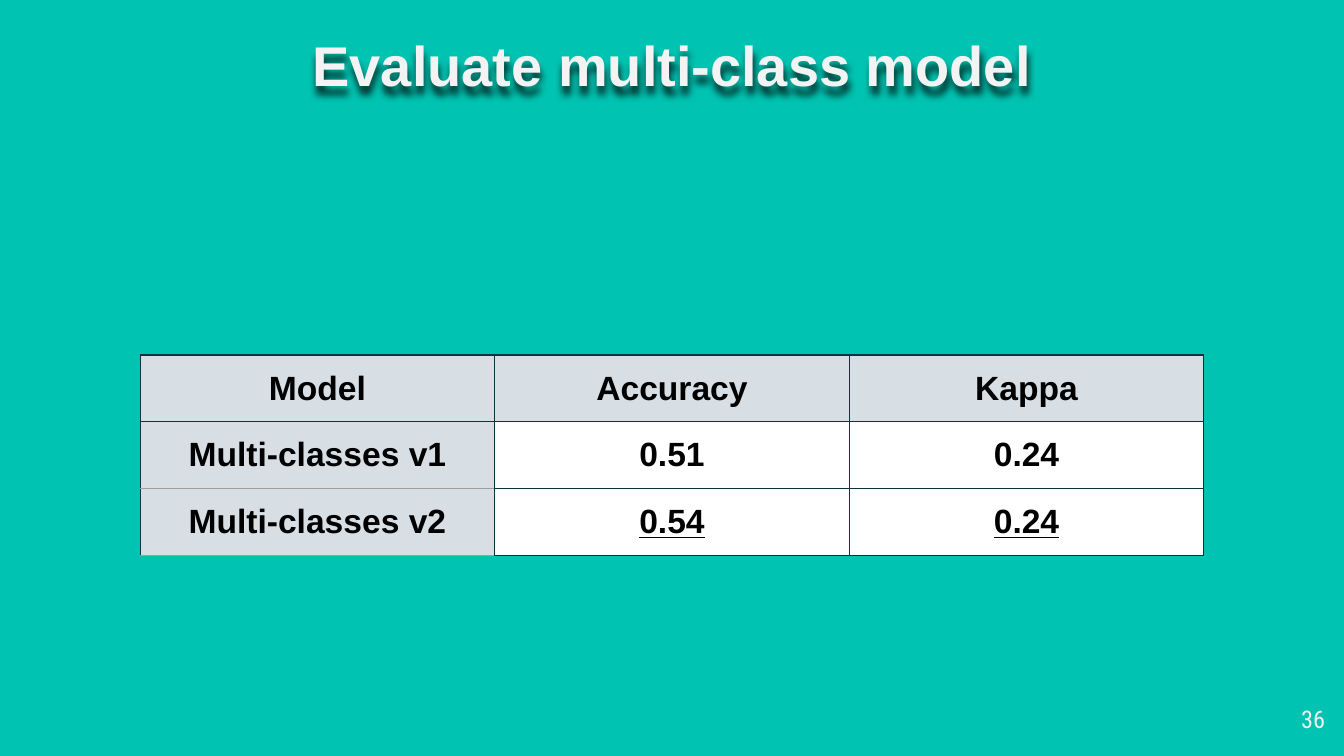
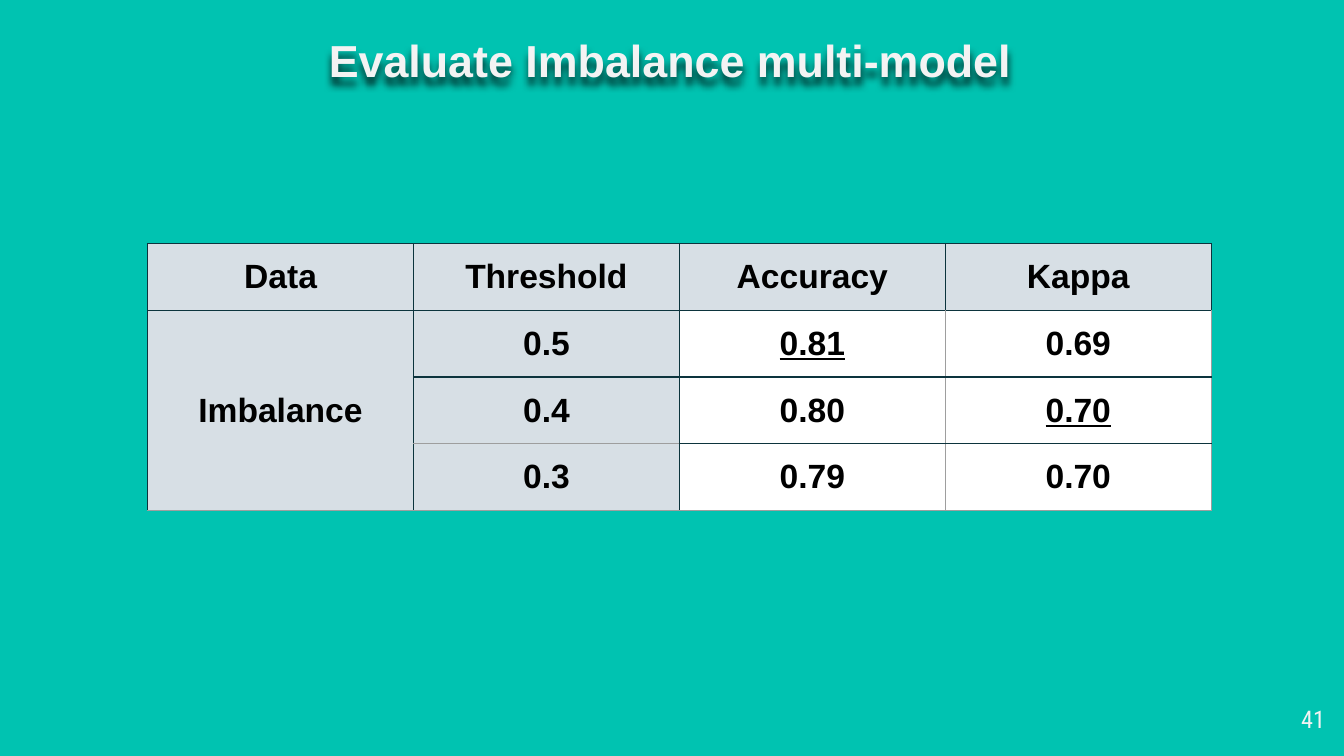
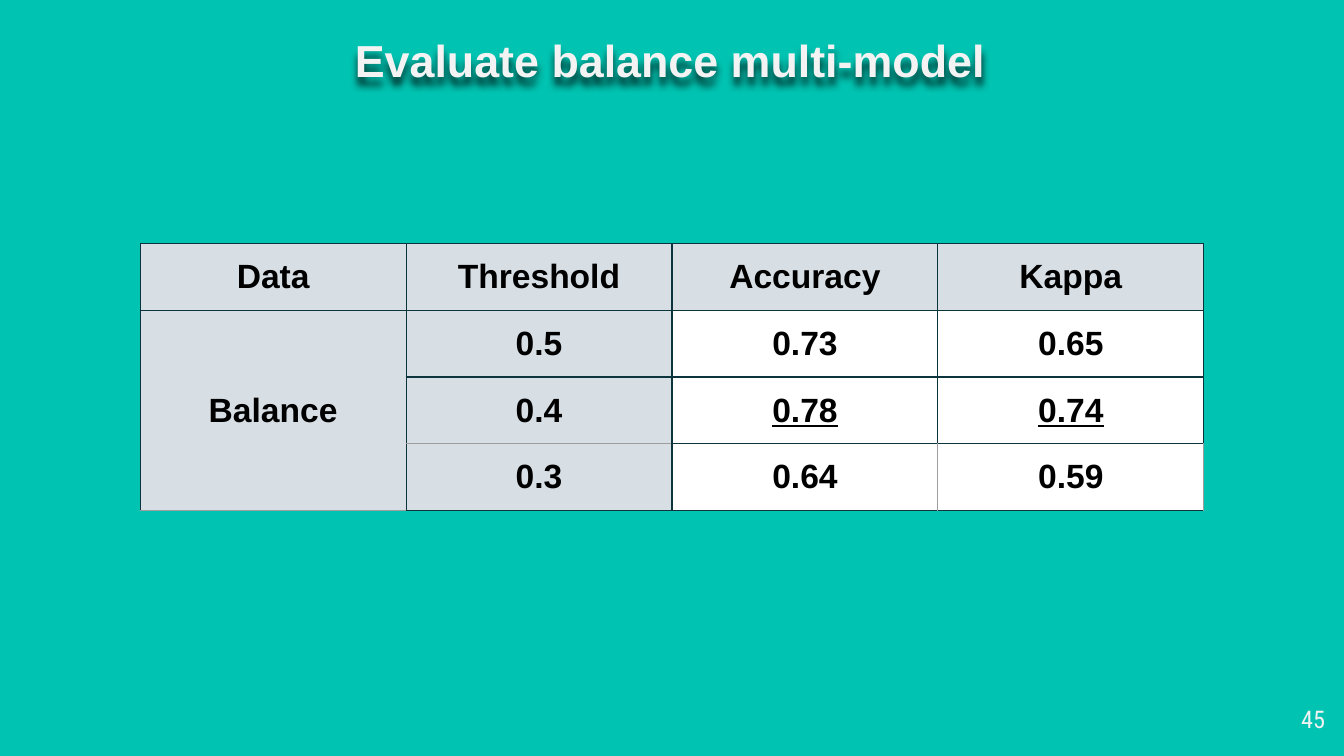
from dataclasses import dataclass

from lxml.etree import SubElement
from pptx import Presentation
from pptx.dml.color import RGBColor
from pptx.enum.text import MSO_ANCHOR, PP_ALIGN
from pptx.oxml.ns import qn
from pptx.util import Cm, Pt


@dataclass(frozen=True)
class Theme:
    back: str = "00C3B1"
    light: str = "F3F3F3"
    head: str = "D7DFE5"
    body: str = "FFFFFF"
    ink: str = "000000"
    dark: str = "0C343D"
    grey: str = "9E9E9E"
    font: str = "Arial"
    narrow: str = "Roboto Condensed"
    large: int = 30
    medium: int = 24
    cell: int = 18
    page: int = 13
    border: float = 0.75


theme = Theme()
WIDTH = 20.1
ROW = 1.06

# Title boxes: left, top, width, height, inset, anchor, type size
TOP = (2, 0.33, 21.4, 1.6, 0.25, MSO_ANCHOR.TOP, theme.large)
MID = (2.5, 0.18, 20.32, 1.9, 0, MSO_ANCHOR.MIDDLE, theme.medium)

# "best" holds the underlined cells; "soft" names the grey sides of cells
SLIDES = [
    dict(
        title="Evaluate multi-class model", box=TOP, page="36",
        left=2.65, top=6.71, heads=1,
        rows=[
            ["Model", "Accuracy", "Kappa"],
            ["Multi-classes v1", "0.51", "0.24"],
            ["Multi-classes v2", "0.54", "0.24"],
        ],
        best={(2, 1), (2, 2)},
        soft={(1, 0): "B", (2, 0): "TB"},
    ),
    dict(
        title="Evaluate Imbalance multi-model", box=MID, page="41",
        left=2.79, top=4.6, heads=2,
        rows=[
            ["Data", "Threshold", "Accuracy", "Kappa"],
            ["Imbalance", "0.5", "0.81", "0.69"],
            ["", "0.4", "0.80", "0.70"],
            ["", "0.3", "0.79", "0.70"],
        ],
        best={(1, 2), (2, 3)},
        soft={
            (1, 0): "B", (1, 2): "R", (1, 3): "LR",
            (2, 0): "TB", (2, 1): "B", (2, 2): "R", (2, 3): "LR",
            (3, 0): "TB", (3, 1): "TB", (3, 2): "RB", (3, 3): "LRB",
        },
    ),
    dict(
        title="Evaluate balance multi-model", box=MID, page="45",
        left=2.65, top=4.6, heads=2,
        rows=[
            ["Data", "Threshold", "Accuracy", "Kappa"],
            ["Balance", "0.5", "0.73", "0.65"],
            ["", "0.4", "0.78", "0.74"],
            ["", "0.3", "0.64", "0.59"],
        ],
        best={(2, 2), (2, 3)},
        soft={
            (1, 0): "B", (2, 0): "TB", (2, 1): "B",
            (3, 0): "TB", (3, 1): "T", (3, 2): "R", (3, 3): "LR",
        },
    ),
]


def write(frame, text, size, color, align, font=theme.font, bold=True):
    """Put one styled run in the first paragraph and return it."""
    para = frame.paragraphs[0]
    para.alignment = align
    run = para.add_run()
    run.text = text
    run.font.name = font
    run.font.size = Pt(size)
    run.font.bold = bold
    run.font.color.rgb = RGBColor.from_string(color)
    return run


def edge(cell, soft):
    """Draw the four borders, grey on the sides named in soft."""
    props = cell._tc.get_or_add_tcPr()
    for side in "LRTB":
        line = SubElement(props, qn(f"a:ln{side}"), w=str(Pt(theme.border)))
        fill = SubElement(line, qn("a:solidFill"))
        color = theme.grey if side in soft else theme.dark
        SubElement(fill, qn("a:srgbClr"), val=color)


deck = Presentation()
deck.slide_width, deck.slide_height = Cm(25.4), Cm(14.29)

for data in SLIDES:
    slide = deck.slides.add_slide(deck.slide_layouts[6])
    fill = slide.background.fill
    fill.solid()
    fill.fore_color.rgb = RGBColor.from_string(theme.back)

    # Title with a soft shadow under the letters
    *place, inset, anchor, size = data["box"]
    title = slide.shapes.add_textbox(*map(Cm, place))
    frame = title.text_frame
    frame.word_wrap = True
    frame.vertical_anchor = anchor
    frame.margin_left = frame.margin_right = Cm(inset)
    frame.margin_top = frame.margin_bottom = Cm(inset)
    write(frame, data["title"], size, theme.light, PP_ALIGN.CENTER)
    effects = SubElement(title._element.spPr, qn("a:effectLst"))
    shadow = SubElement(effects, qn("a:outerShdw"), blurRad=str(Pt(4)),
                        dist=str(Pt(4)), dir="5400000", algn="t", rotWithShape="0")
    tint = SubElement(shadow, qn("a:srgbClr"), val=theme.ink)
    SubElement(tint, qn("a:alpha"), val="75000")

    # Table of scores
    rows = data["rows"]
    count = len(rows[0])
    table = slide.shapes.add_table(
        len(rows), count, Cm(data["left"]), Cm(data["top"]),
        Cm(WIDTH), Cm(ROW * len(rows))).table
    table.first_row = table.horz_banding = False
    for col in table.columns:
        col.width = Cm(WIDTH / count)
    for r, row in enumerate(rows):
        for c, text in enumerate(row):
            cell = table.cell(r, c)
            cell.vertical_anchor = MSO_ANCHOR.MIDDLE
            cell.margin_left = cell.margin_right = Cm(0.25)
            cell.margin_top = cell.margin_bottom = Cm(0.25)
            edge(cell, data["soft"].get((r, c), ""))
            shade = theme.head if r == 0 or c < data["heads"] else theme.body
            cell.fill.solid()
            cell.fill.fore_color.rgb = RGBColor.from_string(shade)
            if text:
                run = write(cell.text_frame, text, theme.cell, theme.ink, PP_ALIGN.CENTER)
                run.font.underline = (r, c) in data["best"]
    if not rows[-1][0]:
        table.cell(1, 0).merge(table.cell(len(rows) - 1, 0))

    # Page number
    page = slide.shapes.add_textbox(Cm(23.77), Cm(13.18), Cm(1.52), Cm(1.09))
    page.text_frame.word_wrap = True
    write(page.text_frame, data["page"], theme.page, theme.light,
          PP_ALIGN.RIGHT, theme.narrow, False)

deck.save("out.pptx")
